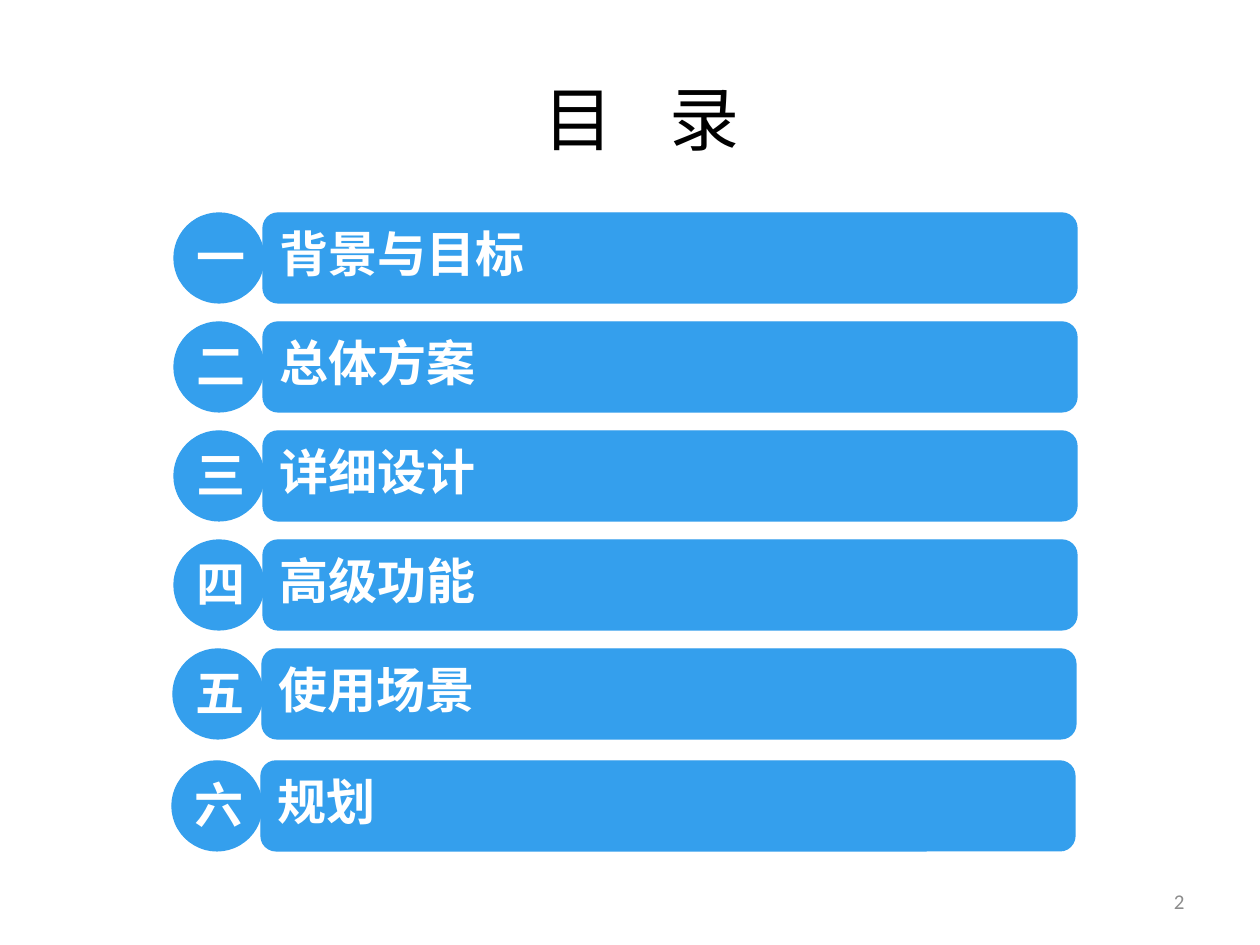
from lxml.etree import SubElement
from pptx import Presentation
from pptx.dml.color import RGBColor
from pptx.enum.shapes import MSO_SHAPE as SHAPE
from pptx.enum.text import MSO_ANCHOR as ANCHOR, MSO_AUTO_SIZE as AUTO, PP_ALIGN as ALIGN
from pptx.oxml.ns import qn
from pptx.util import Emu, Pt

TITLE = "目\t录"
PAGE = "2"
CHAPTERS = [
    ("一", "背景与目标", (0, 0)),
    ("二", "总体方案", (0, 0)),
    ("三", "详细设计", (0, 0)),
    ("四", "高级功能", (0, 0)),
    ("五", "使用场景", (-1, 0)),
    ("六", "规划", (-2, 3)),
]

BLUE = RGBColor(0x34, 0x9F, 0xED)
WHITE = RGBColor(0xFF, 0xFF, 0xFF)
BLACK = RGBColor(0, 0, 0)
GRAY = RGBColor(0x8C, 0x8C, 0x8C)
CJK = "Noto Sans CJK SC"

PX = 914400 // 126
LEFT, TOP, PITCH = 174, 213, 109
CIRCLE, BAR_W = 90, 814


def px(*values):
    return [Emu(v * PX) for v in values]


def write(sp, text, size, color, font=CJK, bold=False, align=ALIGN.LEFT, anchor=ANCHOR.TOP):
    tf = sp.text_frame
    tf.vertical_anchor = anchor
    p = tf.paragraphs[0]
    p.text = text
    p.alignment = align
    p.font.size = Pt(size)
    p.font.bold = bold
    p.font.color.rgb = color
    p.font.name = font
    SubElement(p._p.pPr.find(qn("a:defRPr")), qn("a:ea"), typeface=font)


def add_blue(group, kind, x, y, w, h):
    sp = group.shapes.add_shape(kind, *px(x, y, w, h))
    sp.shadow.inherit = False
    sp.fill.solid()
    sp.fill.fore_color.rgb = BLUE
    sp.line.color.rgb = BLUE
    sp.line.width = Pt(0.75)
    return sp


def add_chapter(slide, numeral, label, x, y):
    group = slide.shapes.add_group_shape()
    bar = add_blue(group, SHAPE.ROUNDED_RECTANGLE, x + CIRCLE - 1, y, BAR_W, CIRCLE)
    write(bar, label, 28, WHITE, bold=True)
    add_blue(group, SHAPE.OVAL, x, y, CIRCLE, CIRCLE)
    box = group.shapes.add_textbox(*px(x + 10, y + 7, 69, 72))
    box.text_frame.word_wrap = False
    box.text_frame.auto_size = AUTO.SHAPE_TO_FIT_TEXT
    write(box, numeral, 28, WHITE, bold=True)


prs = Presentation()
prs.slide_width, prs.slide_height = px(1260, 945)
slide = prs.slides.add_slide(prs.slide_layouts[5])

title = slide.shapes.title
title.left, title.top, title.width, title.height = px(74, 39, 1134, 158)
write(title, TITLE, 40, BLACK, align=ALIGN.CENTER, anchor=ANCHOR.MIDDLE)

for i, (numeral, label, (dx, dy)) in enumerate(CHAPTERS):
    add_chapter(slide, numeral, label, LEFT + dx, TOP + i * PITCH + dy)

number = slide.shapes.add_textbox(*px(903, 876, 294, 50))
number.text_frame.word_wrap = True
write(number, PAGE, 12, GRAY, font="Calibri", align=ALIGN.RIGHT, anchor=ANCHOR.MIDDLE)

prs.save("out.pptx")
